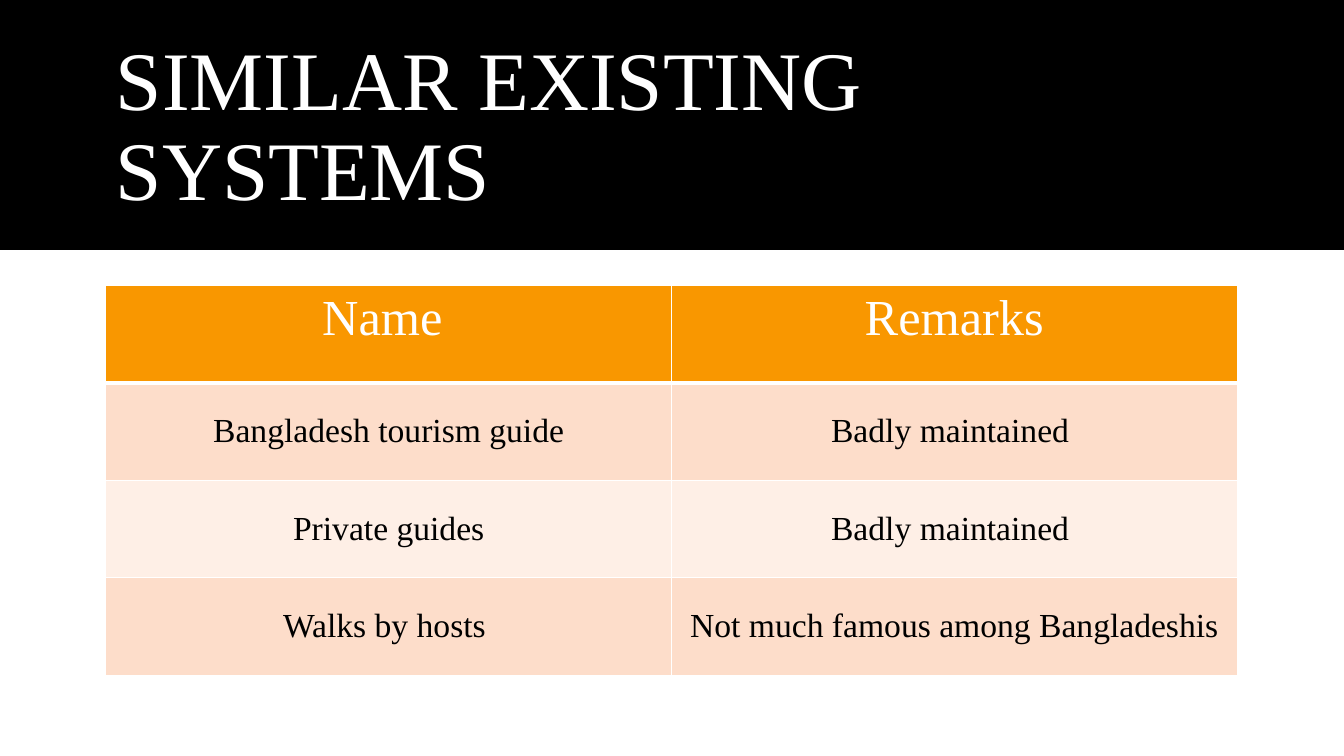
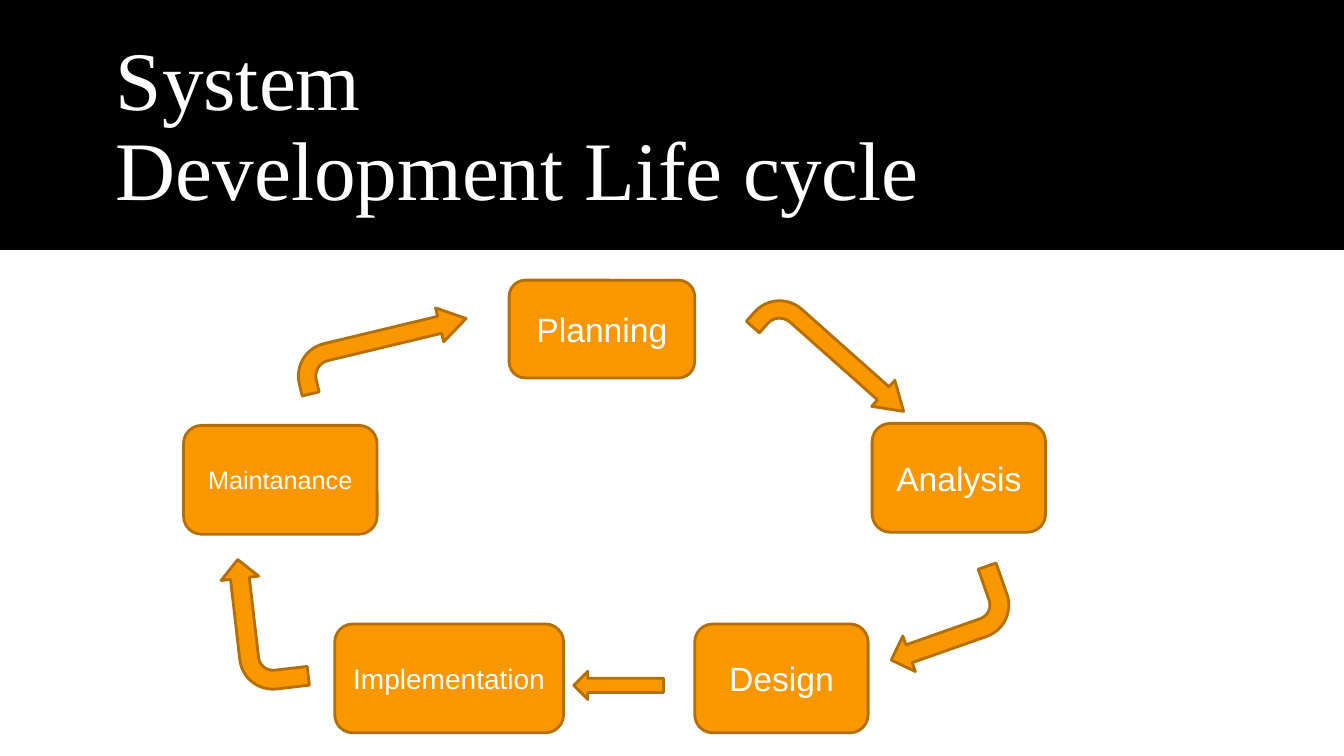
from dataclasses import dataclass

from lxml import etree
from pptx import Presentation
from pptx.dml.color import RGBColor
from pptx.enum.shapes import MSO_SHAPE
from pptx.enum.text import MSO_ANCHOR, PP_ALIGN
from pptx.oxml.ns import qn
from pptx.util import Pt

RECT, ROUND = MSO_SHAPE.RECTANGLE, MSO_SHAPE.ROUNDED_RECTANGLE
LEFT, BENT = MSO_SHAPE.LEFT_ARROW, MSO_SHAPE.BENT_ARROW
TOP, MID = MSO_ANCHOR.TOP, MSO_ANCHOR.MIDDLE
START, CENTER = PP_ALIGN.LEFT, PP_ALIGN.CENTER
PX = 9144  # 100 px to the inch


@dataclass(frozen=True)
class Theme:
    white: str = "FFFFFF"
    black: str = "000000"
    orange: str = "F99700"
    edge: str = "B56E00"
    peach: str = "FDDDCA"
    cream: str = "FEEFE6"
    serif: str = "Times New Roman"
    sans: str = "Arial"
    title: float = 59.4
    head: int = 36
    body: int = 24


T = Theme()


def shape(slide, kind, box, fill, edge=None):
    item = slide.shapes.add_shape(kind, *[n * PX for n in box])
    item.shadow.inherit = False
    item.fill.solid()
    item.fill.fore_color.rgb = RGBColor.from_string(fill)
    if edge:
        item.line.color.rgb = RGBColor.from_string(edge)
        item.line.width = Pt(2)
    else:
        item.line.fill.background()
    return item


def write(frame, lines, size, font, color, align=CENTER):
    """Fill the first paragraph, with a line break between lines."""
    para = frame.paragraphs[0]
    para.alignment = align
    for i, line in enumerate(lines):
        if i:
            para.add_line_break()
        run = para.add_run()
        run.text = line
        run.font.size = Pt(size)
        run.font.name = font
        run.font.bold = False
        run.font.color.rgb = RGBColor.from_string(color)
    return para


deck = Presentation()
deck.slide_width, deck.slide_height = 1333 * PX, 750 * PX

# Band and title on every slide
titles = [["SIMILAR EXISTING SYSTEMS"], ["System ", "Development Life cycle"]]
slides = []
for lines in titles:
    slide = deck.slides.add_slide(deck.slide_layouts[6])
    shape(slide, RECT, (0, 0, 1333, 248), T.black)
    box = slide.shapes.add_textbox(*[n * PX for n in (105, 35, 1123, 186)])
    box.text_frame.word_wrap = True
    box.text_frame.vertical_anchor = MID
    write(box.text_frame, lines, T.title, T.serif, T.white, START).line_spacing = 0.9
    slides.append(slide)
systems, cycle = slides

# Table of existing systems
rows = [
    ("Name ", "Remarks"),
    ("Bangladesh tourism guide", "Badly maintained "),
    ("Private guides", "Badly maintained "),
    ("Walks by hosts ", "Not much famous among Bangladeshis"),
]
table = systems.shapes.add_table(
    len(rows), 2, 105 * PX, 283 * PX, 1122 * PX, 387 * PX).table
table.first_row = table.horz_banding = False
for r, row in enumerate(rows):
    head = r == 0
    fill = T.orange if head else (T.cream, T.peach)[r % 2]
    size, ink = (T.head, T.white) if head else (T.body, T.black)
    for c, text in enumerate(row):
        cell = table.cell(r, c)
        props = cell._tc.get_or_add_tcPr()
        for side in "LRTB":
            thick = (side == "B" and r == 0) or (side == "T" and r == 1)
            line = etree.SubElement(props, qn("a:ln" + side), w=str(Pt(3 if thick else 1)))
            paint = etree.SubElement(line, qn("a:solidFill"))
            etree.SubElement(paint, qn("a:srgbClr"), val=T.white)
        cell.fill.solid()
        cell.fill.fore_color.rgb = RGBColor.from_string(fill)
        cell.vertical_anchor = TOP if head else MID
        write(cell.text_frame, [text], size, T.serif, ink)

# Stages of the life cycle
stages = [
    ("Planning", 24, (505, 278, 184, 97)),
    ("Analysis", 24, (865, 420, 172, 108)),
    ("Design", 24, (689, 619, 172, 108)),
    ("Implementation", 20, (332, 619, 227, 108)),
    ("Maintanance", 18, (182, 422, 192, 108)),
]
for name, size, box in stages:
    stage = shape(cycle, ROUND, box, T.orange, T.edge)
    stage.text_frame.word_wrap = True
    stage.text_frame.vertical_anchor = MID
    write(stage.text_frame, [name], size, T.sans, T.white)

# Arrows from stage to stage
short = (0.25, 0.25, 0.25, 0.44)
long = (0.32, 0.32, 0.5, 0.61)
arrows = [
    (BENT, (736, 330, 176, 54), 41.6, long),
    (BENT, (874, 578, 130, 75), 160.6, short),
    (LEFT, (569, 666, 89, 28), 0, (0.5, 0.5)),
    (BENT, (196, 581, 132, 75), 263.4, short),
    (BENT, (291, 319, 176, 54), 346.5, long),
]
for kind, box, turn, bends in arrows:
    arrow = shape(cycle, kind, box, T.orange, T.edge)
    arrow.rotation = turn
    for i, bend in enumerate(bends):
        arrow.adjustments[i] = bend

deck.save("out.pptx")
